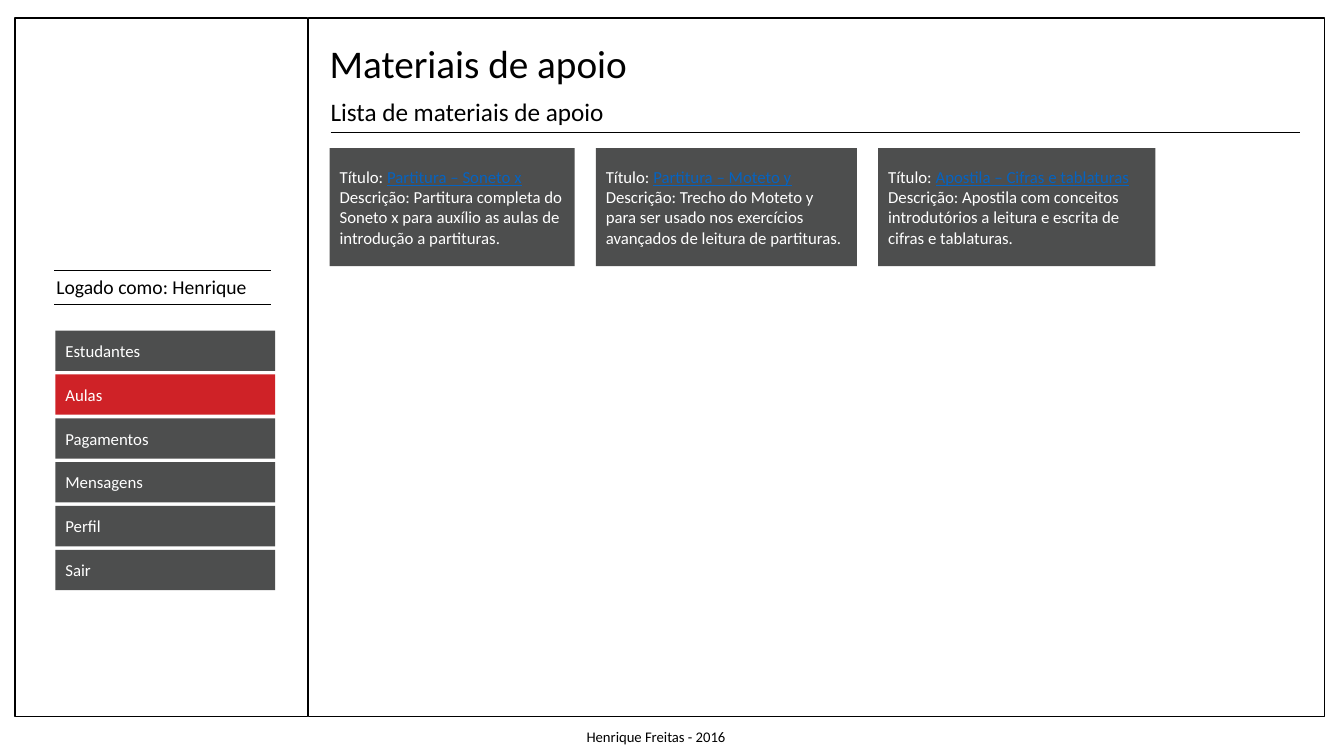
from dataclasses import dataclass

from lxml import etree
from pptx import Presentation
from pptx.dml.color import RGBColor
from pptx.enum.shapes import MSO_CONNECTOR, MSO_SHAPE
from pptx.enum.text import MSO_ANCHOR, MSO_AUTO_SIZE, PP_ALIGN
from pptx.oxml.ns import qn
from pptx.util import Emu, Pt

RECTANGLE = MSO_SHAPE.RECTANGLE
STRAIGHT = MSO_CONNECTOR.STRAIGHT
TOP = MSO_ANCHOR.TOP
MIDDLE = MSO_ANCHOR.MIDDLE
LEFT = PP_ALIGN.LEFT
NO_AUTOFIT = MSO_AUTO_SIZE.NONE
FIT_SHAPE = MSO_AUTO_SIZE.SHAPE_TO_FIT_TEXT

PX_PER_INCH = 200
EMU_PER_PX = 914400 // PX_PER_INCH
SLIDE_SIZE = (2666, 1500)

MENU_BOX = (110, 656, 436, 80)
MENU_PITCH = 87
MENU = ["Estudantes", "Aulas", "Pagamentos", "Mensagens", "Perfil", "Sair"]
ACTIVE_ITEM = "Aulas"

CARD_LEFT, CARD_TOP, CARD_HEIGHT, CARD_GAP = 654, 294, 234, 42
CARDS = [
    (486, "Partitura – Soneto x",
     "Partitura completa do Soneto x para auxílio as aulas de introdução a partituras."),
    (518, "Partitura – Moteto y",
     "Trecho do Moteto y para ser usado nos exercícios avançados de leitura de partituras."),
    (550, "Apostila – Cifras e tablaturas",
     "Apostila com conceitos introdutórios a leitura e escrita de cifras e tablaturas."),
]


@dataclass(frozen=True)
class Theme:
    font: str = "Calibri"
    ink: str = "000000"
    block: str = "4D4E4E"
    active: str = "CF2227"
    on_block: str = "FFFFFF"
    link: str = "0563C1"
    title_size: float = 28
    subtitle_size: float = 18
    user_size: float = 14
    body_size: float = 12
    footer_size: float = 10.5
    frame_width: float = 1
    rule_width: float = 0.5


def px(value):
    return Emu(value * EMU_PER_PX)


def add_text(paragraph, text, *, font, size, color, underline=False):
    run = paragraph.add_run()
    run.text = text
    run.font.name = font
    run.font.size = Pt(size)
    run.font.color.rgb = RGBColor.from_string(color)
    run.font.underline = underline


class SlideBuilder:
    def __init__(self, presentation, theme):
        self.theme = theme
        self.slide = presentation.slides.add_slide(presentation.slide_layouts[5])

    def rectangle(self, box, fill=None):
        shape = self.slide.shapes.add_shape(RECTANGLE, *map(px, box))
        shape.shadow.inherit = False
        if fill:
            shape.fill.solid()
            shape.fill.fore_color.rgb = RGBColor.from_string(fill)
            shape.line.fill.background()
        else:
            shape.fill.background()
            shape.line.color.rgb = RGBColor.from_string(self.theme.ink)
            shape.line.width = Pt(self.theme.frame_width)
        return shape

    def rule(self, left, right, y):
        connector = self.slide.shapes.add_connector(STRAIGHT, px(left), px(y), px(right), px(y))
        connector.line.color.rgb = RGBColor.from_string(self.theme.ink)
        connector.line.width = Pt(self.theme.rule_width)
        properties = connector._element.find(qn("p:spPr"))
        etree.SubElement(properties, qn("a:effectLst"))

    def title(self, box, text):
        shape = self.slide.shapes.title
        shape.left, shape.top, shape.width, shape.height = map(px, box)
        self.fill_label(shape, text, self.theme.title_size, NO_AUTOFIT)

    def label(self, box, text, size):
        shape = self.slide.shapes.add_textbox(*map(px, box))
        self.fill_label(shape, text, size, FIT_SHAPE)

    def fill_label(self, shape, text, size, auto_size):
        frame = shape.text_frame
        frame.word_wrap = False
        frame.auto_size = auto_size
        frame.vertical_anchor = TOP
        paragraph = frame.paragraphs[0]
        paragraph.alignment = LEFT
        add_text(paragraph, text, font=self.theme.font, size=size, color=self.theme.ink)

    def block(self, box, lines, fill):
        frame = self.rectangle(box, fill).text_frame
        frame.word_wrap = True
        frame.vertical_anchor = MIDDLE
        for index, line in enumerate(lines):
            paragraph = frame.add_paragraph() if index else frame.paragraphs[0]
            paragraph.alignment = LEFT
            for text, is_link in line:
                add_text(paragraph, text, font=self.theme.font, size=self.theme.body_size,
                         color=self.theme.link if is_link else self.theme.on_block,
                         underline=is_link)

    def menu_item(self, index, text):
        left, top, width, height = MENU_BOX
        fill = self.theme.active if text == ACTIVE_ITEM else self.theme.block
        self.block((left, top + index * MENU_PITCH, width, height), [[(text, False)]], fill)

    def card(self, left, width, name, description):
        lines = [[("Título: ", False), (name, True)],
                 [(f"Descrição: {description}", False)]]
        self.block((left, CARD_TOP, width, CARD_HEIGHT), lines, self.theme.block)


def main():
    presentation = Presentation()
    presentation.slide_width, presentation.slide_height = map(px, SLIDE_SIZE)
    theme = Theme()
    builder = SlideBuilder(presentation, theme)

    builder.rectangle((612, 36, 2016, 1386))
    builder.rectangle((30, 36, 580, 1386))
    builder.label((92, 536, 422, 68), "Logado como: Henrique", theme.user_size)
    for y in (536, 604):
        builder.rule(108, 538, y)
    builder.label((1144, 1434, 322, 56), "Henrique Freitas - 2016", theme.footer_size)

    for index, text in enumerate(MENU):
        builder.menu_item(index, text)

    builder.title((634, 68, 636, 114), "Materiais de apoio")
    builder.label((636, 182, 588, 80), "Lista de materiais de apoio", theme.subtitle_size)
    builder.rule(656, 2578, 262)

    left = CARD_LEFT
    for width, name, description in CARDS:
        builder.card(left, width, name, description)
        left += width + CARD_GAP

    presentation.save("out.pptx")


if __name__ == "__main__":
    main()
